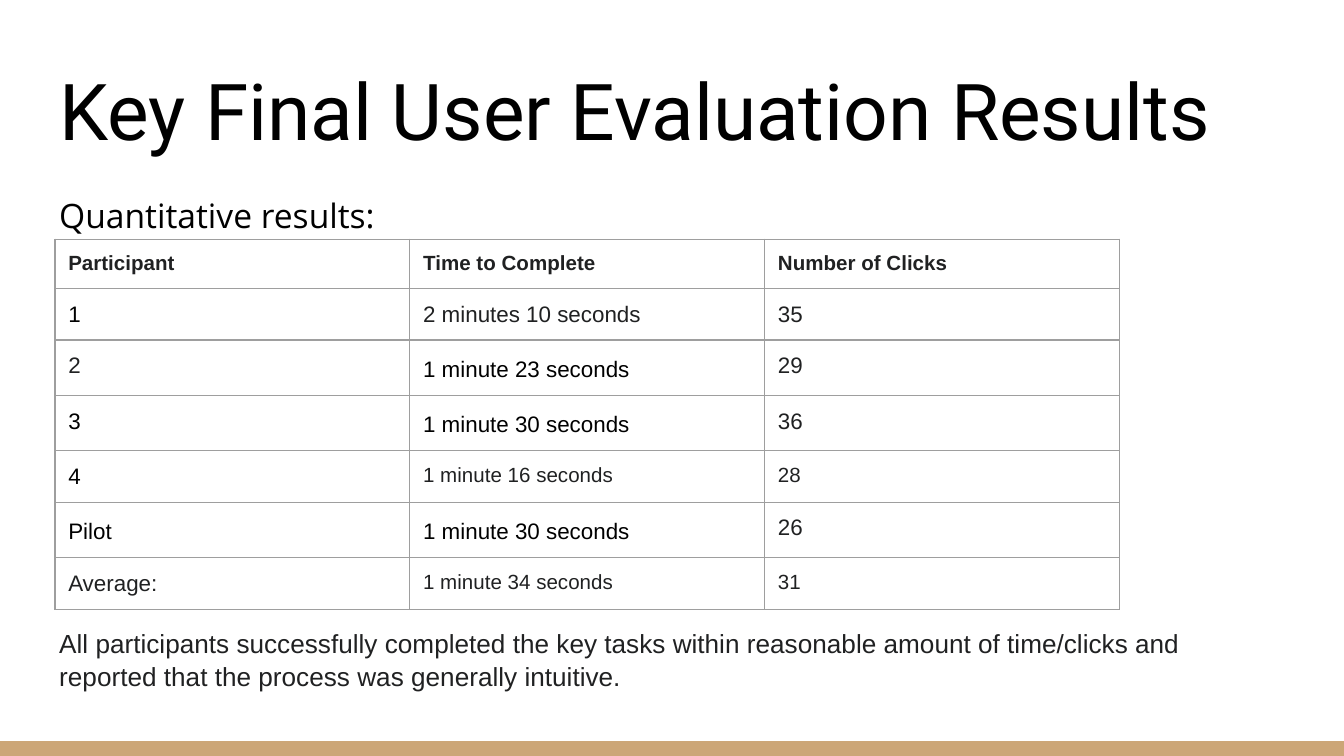
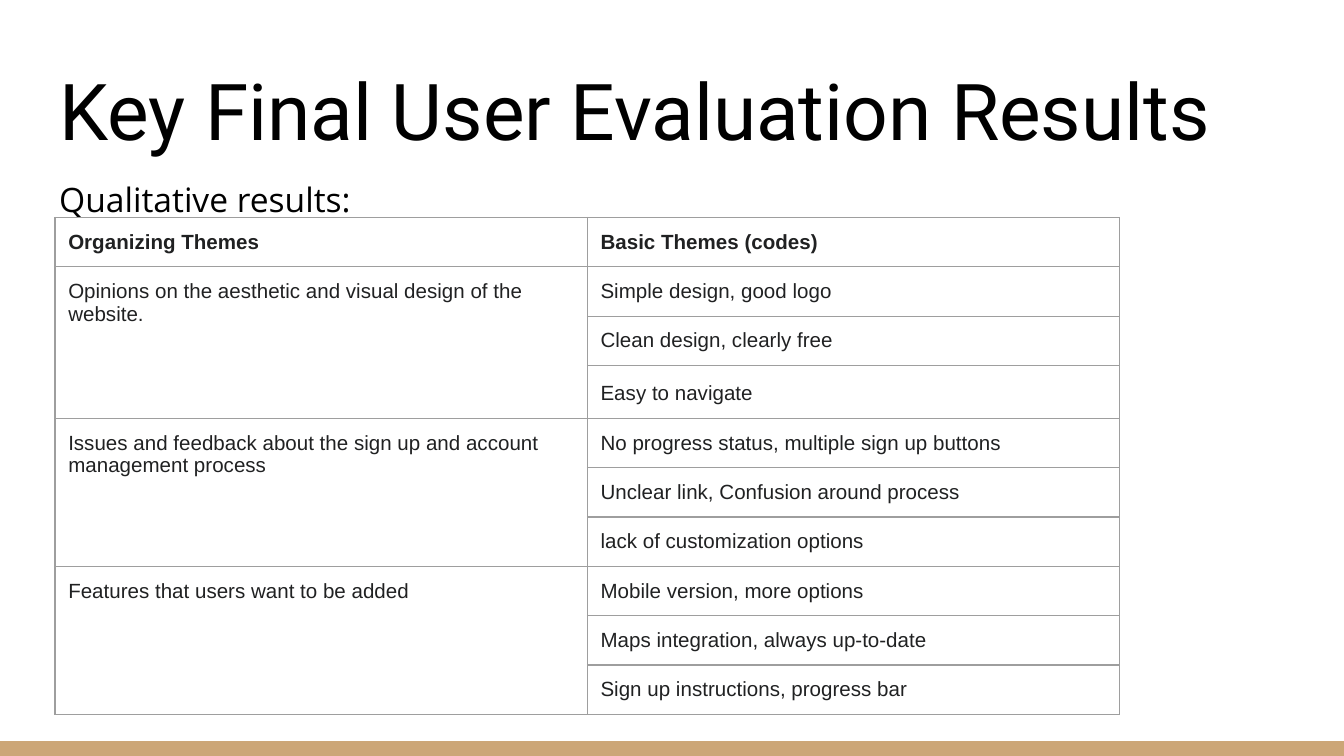
from pptx import Presentation
from pptx.dml.color import RGBColor
from pptx.enum.shapes import MSO_SHAPE
from pptx.enum.text import MSO_ANCHOR, MSO_AUTO_SIZE, PP_ALIGN
from pptx.oxml import parse_xml
from pptx.oxml.ns import nsdecls
from pptx.util import Cm, Pt

BLACK, DARK, TAN, GREY = "000000", "202122", "CCA677", "9E9E9E"
TITLE = "Key Final User Evaluation Results"
INSETS = dict.fromkeys(
    ("margin_left", "margin_top", "margin_right", "margin_bottom"), Cm(0.25))
BORDER = (f'<a:{{side}} {nsdecls("a")} w="9525"><a:solidFill>'
          f'<a:srgbClr val="{GREY}"/></a:solidFill></a:{{side}}>')

# Font name, size, bold, colour, line spacing
STYLES = {
    "title": ("Roboto", 42, False, BLACK, 1.0),
    "quantitative": ("Open Sans", 18, False, BLACK, 1.05),
    "qualitative": ("Open Sans", 18, False, BLACK, 1.15),
    "conclusion": ("Arial", 14, False, DARK, 1.05),
    "header": ("Arial", 11, True, DARK, 1.0),
    "small": ("Arial", 11, False, DARK, 1.0),
    "small loose": ("Arial", 11, False, DARK, 1.15),
    "normal": ("Arial", 12, False, DARK, 1.0),
    "black": ("Arial", 12, False, BLACK, 1.0),
    "black loose": ("Arial", 12, False, BLACK, 1.15),
}

CONCLUSION = ("All participants successfully completed the key tasks within "
              "reasonable amount of time/clicks and reported that the process "
              "was generally intuitive.")

# Each cell is (text, style); None continues the cell above
quantitative_rows = [
    [("Participant", "header"), ("Time to Complete", "header"), ("Number of Clicks", "header")],
    [("1", "black"), ("2 minutes 10 seconds", "normal"), ("35", "normal")],
    [("2", "normal"), ("1 minute 23 seconds", "black loose"), ("29", "normal")],
    [("3", "black"), ("1 minute 30 seconds", "black loose"), ("36", "normal")],
    [("4", "black"), ("1 minute 16 seconds", "small"), ("28", "small")],
    [("Pilot", "black loose"), ("1 minute 30 seconds", "black loose"), ("26", "normal")],
    [("Average:", "normal"), ("1 minute 34 seconds", "small"), ("31", "small")],
]

themes = {
    "Opinions on the aesthetic and visual design of the website.":
        ["Simple design, good logo", "Clean design, clearly free", "Easy to navigate"],
    "Issues and feedback about the sign up and account management process":
        ["No progress status, multiple sign up buttons",
         "Unclear link, Confusion around process", "lack of customization options"],
    "Features that users want to be added":
        ["Mobile version, more options", "Maps integration, always up-to-date",
         "Sign up instructions, progress bar"],
}
qualitative_rows = [[("Organizing Themes", "header"), ("Basic Themes (codes)", "header")]]
for theme, codes in themes.items():
    for index, code in enumerate(codes):
        style = "small loose" if code == "Easy to navigate" else "small"
        qualitative_rows.append([(theme, "small") if index == 0 else None, (code, style)])

slides = [
    {"body": (3.4, 10.46), "paragraphs": [("Quantitative results:", "quantitative", 0),
                                          (CONCLUSION, "conclusion", 209)],
     "table_top": 4.52, "rows": quantitative_rows,
     "heights": [0.81, 0.91, 0.81, 0.91, 0.91, 0.81, 0.91]},
    {"body": (3.02, 9.32), "paragraphs": [("Qualitative results:", "qualitative", 0)],
     "table_top": 4.11, "rows": qualitative_rows,
     "heights": [0.58, 0.56, 0.86] + [0.56] * 7},
]


def color(hex_string):
    return RGBColor.from_string(hex_string)


def write(paragraph, text, style):
    name, size, bold, font_color, spacing = STYLES[style]
    paragraph.alignment = PP_ALIGN.LEFT
    paragraph.line_spacing = spacing
    run = paragraph.add_run()
    run.text = text
    for attribute, value in {"name": name, "size": Pt(size), "bold": bold}.items():
        setattr(run.font, attribute, value)
    run.font.color.rgb = color(font_color)


presentation = Presentation()
presentation.slide_width, presentation.slide_height = Cm(25.4), Cm(14.29)

for content in slides:
    slide = presentation.slides.add_slide(presentation.slide_layouts[5])

    band = slide.shapes.add_shape(MSO_SHAPE.RECTANGLE, 0, Cm(14.01), Cm(25.4), Cm(0.28))
    band.shadow.inherit = False
    band.fill.solid()
    band.fill.fore_color.rgb = color(TAN)
    band.line.fill.background()

    title = slide.shapes.title
    title.left, title.top, title.width, title.height = Cm(0.87), Cm(0.89), Cm(23.67), Cm(2.31)
    body_top, body_height = content["body"]
    body = slide.shapes.add_textbox(Cm(0.87), Cm(body_top), Cm(23.67), Cm(body_height))
    for shape, anchor in ((title, MSO_ANCHOR.BOTTOM), (body, MSO_ANCHOR.TOP)):
        frame_format = {**INSETS, "word_wrap": True, "auto_size": MSO_AUTO_SIZE.NONE,
                        "vertical_anchor": anchor}
        for attribute, value in frame_format.items():
            setattr(shape.text_frame, attribute, value)
    write(title.text_frame.paragraphs[0], TITLE, "title")

    for index, (text, style, space_before) in enumerate(content["paragraphs"]):
        frame = body.text_frame
        paragraph = frame.add_paragraph() if index else frame.paragraphs[0]
        paragraph.space_before = Pt(space_before)
        write(paragraph, text, style)

    rows, heights = content["rows"], content["heights"]
    table = slide.shapes.add_table(len(rows), len(rows[0]), Cm(1.04), Cm(content["table_top"]),
                                   Cm(20.12), Cm(sum(heights))).table
    table.first_row = table.horz_banding = False
    for row_index, (row, height) in enumerate(zip(rows, heights)):
        table.rows[row_index].height = Cm(height)
        for column_index, entry in enumerate(row):
            cell = table.cell(row_index, column_index)
            for attribute, value in INSETS.items():
                setattr(cell, attribute, value)
            properties = cell._tc.get_or_add_tcPr()
            for side in ("lnL", "lnR", "lnT", "lnB"):
                properties.append(parse_xml(BORDER.format(side=side)))
            cell.fill.background()
            if entry:
                write(cell.text_frame.paragraphs[0], *entry)
            elif row_index + 1 == len(rows) or rows[row_index + 1][column_index]:
                table.cell(row_index - 2, column_index).merge(cell)

presentation.save("out.pptx")
